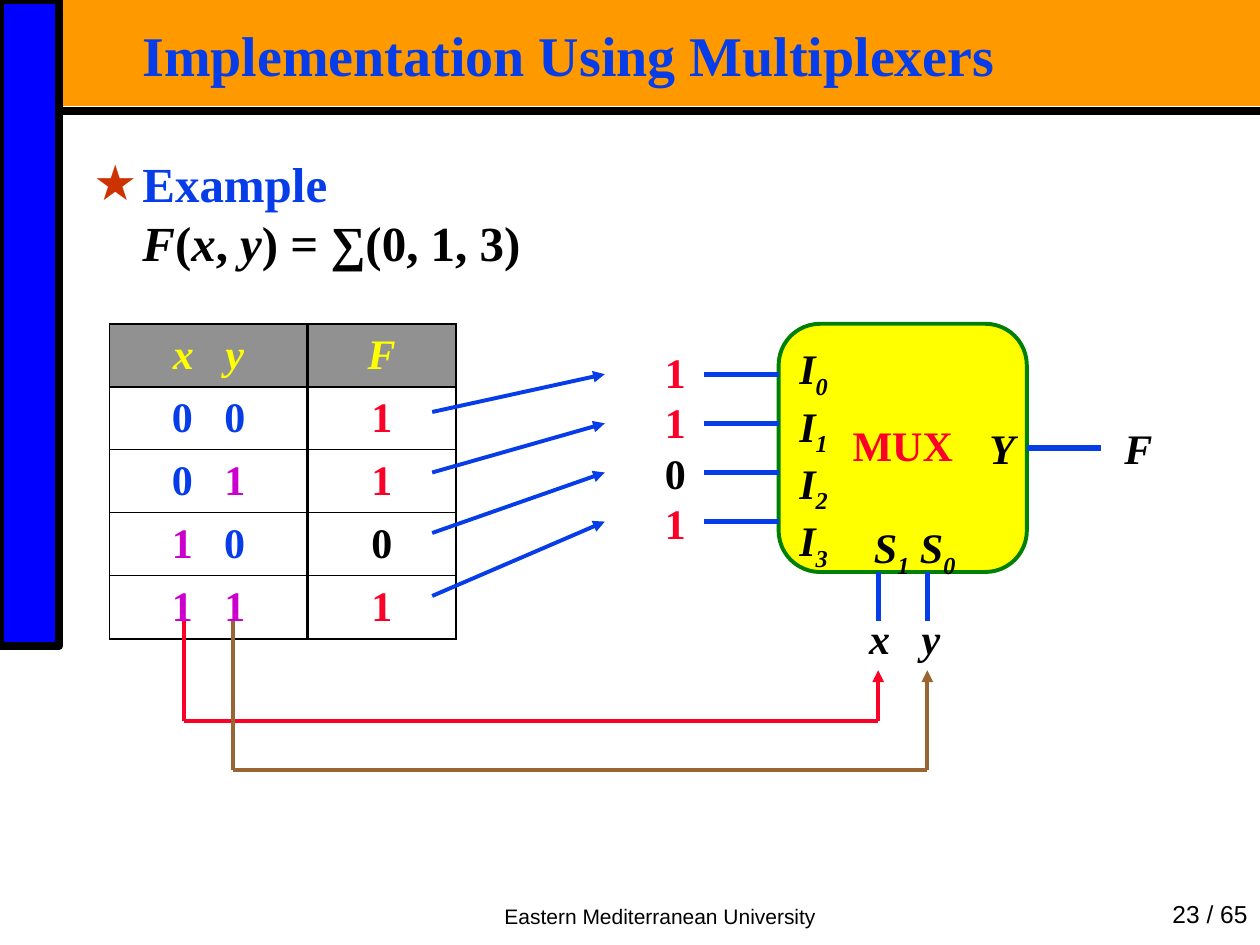
from lxml.etree import SubElement
from pptx import Presentation
from pptx.dml.color import RGBColor
from pptx.enum.shapes import MSO_CONNECTOR, MSO_SHAPE
from pptx.enum.text import MSO_ANCHOR, PP_ALIGN
from pptx.oxml.ns import qn
from pptx.util import Inches, Pt

BLUE = RGBColor(0x06, 0x3D, 0xE8)
RED = RGBColor(0xFC, 0x01, 0x28)
PURPLE = RGBColor(0xCC, 0x00, 0xCC)
BROWN = RGBColor(0x99, 0x66, 0x33)
BLACK = RGBColor(0, 0, 0)
YELLOW = RGBColor(0xFF, 0xFF, 0)
GREEN = RGBColor(0, 0x80, 0)
GRAY = RGBColor(0x91, 0x91, 0x91)
ORANGE = RGBColor(0xFF, 0x99, 0)
BAR_BLUE = RGBColor(0, 0, 0xFF)

# Multiplexer geometry, in inches
MUX_LEFT, MUX_TOP, MUX_SIZE = 6.18, 2.57, 1.97
MUX_RIGHT, MUX_BOTTOM = MUX_LEFT + MUX_SIZE, MUX_TOP + MUX_SIZE
MUX_MIDDLE = MUX_TOP + MUX_SIZE / 2
INPUT_YS = [2.97 + 0.39 * i for i in range(4)]
SELECT_XS = [6.97, 7.36]

ITALIC = {"italic": True}
SUBSCRIPT = {"baseline": -25000}


def write(frame, paragraphs, *, size=24, color=BLACK, font="Times New Roman", bold=True,
          italic=False, align=PP_ALIGN.CENTER, anchor=MSO_ANCHOR.TOP,
          insets=(0, 0), spacing=None):
    """Fill a text frame or cell; a paragraph is a list of (text, overrides) runs."""
    frame.vertical_anchor = anchor
    frame.margin_left = frame.margin_right = Inches(insets[0])
    frame.margin_top = frame.margin_bottom = Inches(insets[1])
    text_frame = getattr(frame, "text_frame", frame)
    text_frame.word_wrap = True
    for i, runs in enumerate(paragraphs):
        paragraph = text_frame.add_paragraph() if i else text_frame.paragraphs[0]
        paragraph.alignment = align
        paragraph.space_before = Pt(0)
        paragraph.line_spacing = spacing
        for text, changes in runs:
            if text == "\n":
                paragraph.add_line_break()
                continue
            run = paragraph.add_run()
            run.text = text
            run.font.name, run.font.size = font, Pt(size)
            run.font.bold = bold
            run.font.italic = changes.get("italic", italic)
            run.font.color.rgb = changes.get("color", color)
            if "baseline" in changes:
                run.font._element.set("baseline", str(changes["baseline"]))


def place(shape, left, top, width, height):
    shape.left, shape.top = Inches(left), Inches(top)
    shape.width, shape.height = Inches(width), Inches(height)


def add_label(slide, box, paragraphs, **style):
    label = slide.shapes.add_textbox(*map(Inches, box))
    write(label.text_frame, paragraphs, **style)


def add_block(slide, preset, box, fill, line=None, width=0):
    block = slide.shapes.add_shape(preset, *map(Inches, box))
    block.shadow.inherit = False
    block.fill.solid()
    block.fill.fore_color.rgb = fill
    if line is None:
        block.line.fill.background()
    else:
        block.line.color.rgb, block.line.width = line, Pt(width)
    return block


def add_line(slide, start, end, color, width=2.25, arrow=False):
    line = slide.shapes.add_connector(MSO_CONNECTOR.STRAIGHT, *map(Inches, (*start, *end)))
    line.line.color.rgb, line.line.width = color, Pt(width)
    if arrow:
        SubElement(line.line._get_or_add_ln(), qn("a:tailEnd"), type="triangle")
    SubElement(line._element.spPr, qn("a:effectLst"))
    return line


def add_route(slide, points, color):
    """Draw a chain of straight segments that ends in an arrowhead."""
    for start, end in zip(points, points[1:]):
        add_line(slide, start, end, color, arrow=end == points[-1])


def set_borders(cell, **widths):
    properties = cell._tc.get_or_add_tcPr()
    for side in "LRTB":
        border = SubElement(properties, qn(f"a:ln{side}"), w=str(Pt(widths[side])))
        fill = SubElement(border, qn("a:solidFill"))
        SubElement(fill, qn("a:srgbClr"), val=str(BLACK))


def add_truth_table(slide):
    one, zero = {"color": PURPLE}, {"color": BLUE}
    rows = [
        ([("x   y", {})], [("F", {})]),
        ([("0   0", zero)], [("1", {"color": RED})]),
        ([("0   ", zero), ("1", one)], [("1", {"color": RED})]),
        ([("1", one), ("   0", zero)], [("0", {})]),
        ([("1   1", one)], [("1", {"color": RED})]),
    ]
    outer, heavy, thin = 1.08, 1.47, 0.45
    row_lines = [outer, heavy, thin, thin, thin, outer]
    column_lines = [outer, heavy, outer]

    table = slide.shapes.add_table(5, 2, Inches(0.87), Inches(2.57),
                                   Inches(2.75), Inches(2.5)).table
    for column, width in zip(table.columns, (1.57, 1.18)):
        column.width = Inches(width)
    for r, row in enumerate(rows):
        table.rows[r].height = Inches(0.5)
        for c, runs in enumerate(row):
            cell = table.cell(r, c)
            set_borders(cell, L=column_lines[c], R=column_lines[c + 1],
                        T=row_lines[r], B=row_lines[r + 1])
            if r == 0:
                cell.fill.solid()
                cell.fill.fore_color.rgb = GRAY
            else:
                cell.fill.background()
            write(cell, [runs], color=BLACK if r else YELLOW, italic=r == 0,
                  anchor=MSO_ANCHOR.MIDDLE, insets=(0.1, 0.03))
    for row in table.rows:
        row.height = Inches(0.5)


def add_frame(slide):
    # Slide decoration and footer
    add_block(slide, MSO_SHAPE.RECTANGLE, (0.47, 0, 9.53, 0.84), ORANGE)
    add_block(slide, MSO_SHAPE.RECTANGLE, (0, 0, 0.47, 5.13), BAR_BLUE, BLACK, 4.5)
    add_line(slide, (0.47, 0.88), (10, 0.88), BLACK, 4.5)
    footer = dict(font="Arial", bold=False, anchor=MSO_ANCHOR.BOTTOM, insets=(0.1, 0.05))
    add_label(slide, (3.43, 7.1, 3.62, 0.32),
              [[("Eastern Mediterranean University", {})]], size=12, **footer)
    add_label(slide, (8.69, 7.1, 1.31, 0.32), [[("23 / 65", {})]],
              size=14, align=PP_ALIGN.RIGHT, **footer)


def add_headings(slide):
    title, body = slide.placeholders
    for holder in (title, body):  # bring in front of the decoration
        slide.shapes._spTree.append(holder._element)
    style = dict(align=PP_ALIGN.LEFT, insets=(0.07, 0.03))

    place(title, 1.06, 0.21, 8.66, 0.52)
    write(title.text_frame, [[("Implementation Using Multiplexers", {})]],
          size=32, color=BLUE, spacing=0.87, **style)

    place(body, 0.67, 1.19, 9.06, 0.99)
    write(body.text_frame, [[
        ("Example", {"color": BLUE}), ("\n", {}), ("F", ITALIC), ("(", {}), ("x", ITALIC),
        (", ", {}), ("y", ITALIC), (") = ∑(0, 1, 3)", {})]], size=28, **style)
    bullet = body.text_frame.paragraphs[0]._p.get_or_add_pPr()
    bullet.set("marL", str(Inches(0.39)))
    bullet.set("indent", str(-Inches(0.39)))
    color = SubElement(bullet, qn("a:buClr"))
    SubElement(color, qn("a:srgbClr"), val="CC3300")
    SubElement(bullet, qn("a:buChar"), char="★")


def add_multiplexer(slide):
    mux = add_block(slide, MSO_SHAPE.ROUNDED_RECTANGLE,
                    (MUX_LEFT, MUX_TOP, MUX_SIZE, MUX_SIZE), YELLOW, GREEN, 2.25)
    write(mux.text_frame, [[("MUX", {})]], color=RED, anchor=MSO_ANCHOR.MIDDLE, spacing=0.9)

    # Wires
    for y in INPUT_YS:
        add_line(slide, (5.59, y), (MUX_LEFT, y), BLUE, 3)
    for x in SELECT_XS:
        add_line(slide, (x, 4.93), (x, MUX_BOTTOM), BLUE, 3)
    output = add_line(slide, (MUX_RIGHT, MUX_MIDDLE), (8.74, MUX_MIDDLE), BLUE, 3)
    output.begin_connect(mux, 3)

    # Pin names and signals
    add_label(slide, (6.18, 2.72, 0.39, 1.82),
              [[("I", {}), (str(i), SUBSCRIPT)] for i in range(4)],
              italic=True, align=PP_ALIGN.RIGHT)
    add_label(slide, (6.77, 4.14, 0.98, 0.46),
              [[("S", {}), ("1", SUBSCRIPT), (" S", {}), ("0", SUBSCRIPT)]], italic=True)
    add_label(slide, (7.76, 3.35, 0.39, 0.4), [[("Y", {})]], italic=True)
    add_label(slide, (8.74, 3.35, 0.59, 0.4), [[("F", {})]], italic=True)
    add_label(slide, (6.81, 4.86, 0.74, 0.4), [[("x   y", {})]], italic=True)
    add_label(slide, (5.2, 2.75, 0.32, 1.6),
              [[(bit, {"color": RED if bit == "1" else BLACK})] for bit in "1101"])


def add_mapping(slide):
    # Table outputs to multiplexer inputs
    for row_y, input_y in zip((3.27, 3.75, 4.23, 4.73), INPUT_YS):
        add_line(slide, (3.43, row_y), (4.8, input_y), BLUE, arrow=True)
    # Table variables to select lines
    for start_x, end_x, low_y, color in zip((1.46, 1.85), SELECT_XS, (5.72, 6.11), (RED, BROWN)):
        add_route(slide, [(start_x, 4.93), (start_x, low_y), (end_x, low_y), (end_x, 5.32)], color)


def main():
    deck = Presentation()
    deck.slide_width, deck.slide_height = Inches(10), Inches(7.5)
    slide = deck.slides.add_slide(deck.slide_layouts[1])
    add_frame(slide)
    add_headings(slide)
    add_truth_table(slide)
    add_multiplexer(slide)
    add_mapping(slide)
    deck.save("out.pptx")


if __name__ == "__main__":
    main()
